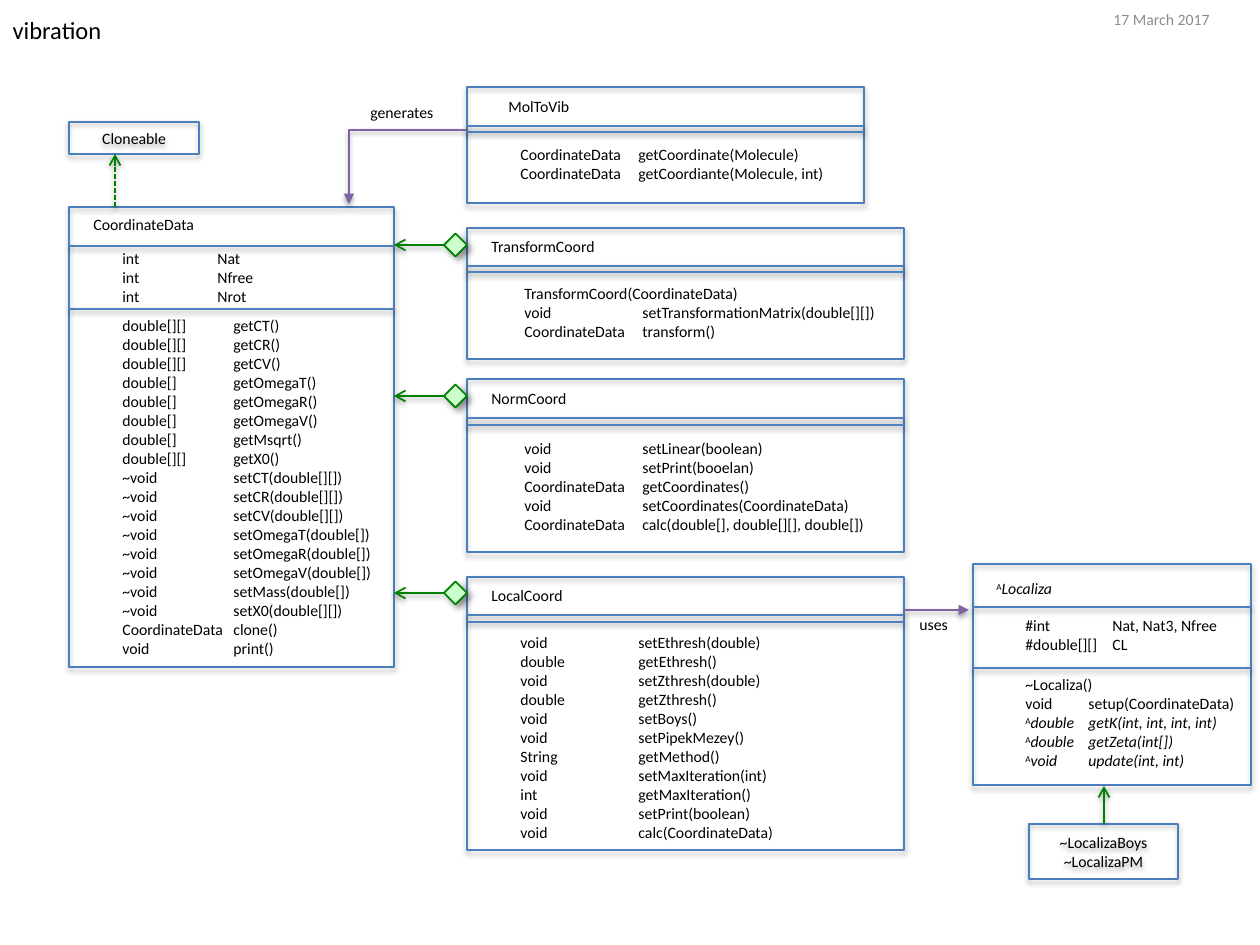
import pptx
import pptx.util
import pptx.dml.color
import pptx.enum.dml
import pptx.enum.shapes
import pptx.enum.text
import pptx.oxml
import pptx.oxml.ns

# Theme
THEME = {
    "font": "Calibri", "title_size": 14, "text_size": 9, "line_width": 1,
    "text": "000000", "date": "8C8C8C", "frame": "4B7EBC", "divider": "4F81BD",
    "green": "008000", "diamond": "CCFFCC", "purple": "8064A2",
}
# Shadows: opacity %, blur pt, distance pt, direction degrees
FRAME_SHADOW, LINE_SHADOW, DIAMOND_SHADOW = (35, 3.1, 1.8, 90), (38, 3.1, 1.6, 90), (43, 4, 3, 45)

# Content, in pixels; a leading "^" marks an abstract member
TITLE = ("vibration", (0, 9, 116, 43))
DATE = ("17 March 2017", (1101, 1, 159, 37))

CLASSES = [
    {"frame": (69, 207, 325, 460), "dividers": (246, 309),
     "name": ("CoordinateData", (81, 209, 127, 32)),
     "members": [
         ((110, 243, 272, 71), 95, ["int\tNat", "int\tNfree", "int\tNrot"]),
         ((110, 310, 284, 357), 111, [
             "double[][]\tgetCT()", "double[][]\tgetCR()", "double[][]\tgetCV()",
             "double[]\tgetOmegaT()", "double[]\tgetOmegaR()", "double[]\tgetOmegaV()",
             "double[]\tgetMsqrt()", "double[][]\tgetX0()",
             "~void\tsetCT(double[][])", "~void\tsetCR(double[][])", "~void\tsetCV(double[][])",
             "~void\tsetOmegaT(double[])", "~void\tsetOmegaR(double[])",
             "~void\tsetOmegaV(double[])", "~void\tsetMass(double[])",
             "~void\tsetX0(double[][])", "CoordinateData\tclone()", "void\tprint()"])]},
    {"frame": (467, 87, 397, 116), "dividers": (126, 132),
     "name": ("MolToVib", (496, 91, 89, 32)),
     "members": [((508, 139, 355, 50), 118, [
         "CoordinateData\tgetCoordinate(Molecule)",
         "CoordinateData\tgetCoordiante(Molecule, int)"])]},
    {"frame": (467, 228, 437, 131), "dividers": (266, 272),
     "name": ("TransformCoord", (479, 231, 131, 32)),
     "members": [((512, 278, 392, 71), 118, [
         "TransformCoord(CoordinateData)", "void\tsetTransformationMatrix(double[][])",
         "CoordinateData\ttransform()"])]},
    {"frame": (467, 379, 437, 173), "dividers": (418, 425),
     "name": ("NormCoord", (479, 383, 102, 32)),
     "members": [((512, 433, 367, 108), 118, [
         "void\tsetLinear(boolean)", "void\tsetPrint(booelan)",
         "CoordinateData\tgetCoordinates()", "void\tsetCoordinates(CoordinateData)",
         "CoordinateData\tcalc(double[], double[][], double[])"])]},
    {"frame": (467, 577, 437, 273), "dividers": (615, 622),
     "name": ("LocalCoord", (479, 580, 98, 32)),
     "members": [((508, 627, 370, 223), 118, [
         "void\tsetEthresh(double)", "double\tgetEthresh()", "void\tsetZthresh(double)",
         "double\tgetZthresh()", "void\tsetBoys()", "void\tsetPipekMezey()",
         "String\tgetMethod()", "void\tsetMaxIteration(int)", "int\tgetMaxIteration()",
         "void\tsetPrint(boolean)", "void\tcalc(CoordinateData)"])]},
    {"frame": (973, 564, 278, 221), "dividers": (607, 668),
     "name": ("^Localiza", (984, 573, 86, 32)),
     "members": [
         ((1013, 610, 237, 50), 87, ["#int\tNat, Nat3, Nfree", "#double[][] \tCL"]),
         ((1013, 669, 237, 108), 63, [
             "~Localiza()", "void\tsetup(CoordinateData)", "^double\tgetK(int, int, int, int)",
             "^double\tgetZeta(int[])", "^void\tupdate(int, int)"])]},
]
SMALL_BOXES = [
    (["Cloneable"], (69, 122, 130, 32)),
    (["~LocalizaBoys", "~LocalizaPM"], (1029, 824, 149, 55)),
]
LABELS = [("generates", (358, 97, 89, 32)), ("uses", (907, 609, 54, 32))]
# Start, end, colour, arrowhead, dashed
ARROWS = [
    ((115, 207), (115, 154), "green", "arrow", True),
    ((1104, 824), (1104, 786), "green", "arrow", False),
    ((904, 610), (969, 610), "purple", "triangle", False),
]
GENERATES_ROUTE = [(466, 130), (349, 130), (349, 204)]
AGGREGATION_ROWS = (245, 396, 593)
DIAMOND_LEFT, DIAMOND_SIZE, DATA_RIGHT = 444, 23, 394

SCALE = 914400 / 126
NAMESPACE = pptx.oxml.ns.nsdecls("a")
SHAPES = pptx.enum.shapes.MSO_SHAPE
ALIGN = pptx.enum.text.PP_ALIGN
ANCHOR = pptx.enum.text.MSO_ANCHOR
FIT = pptx.enum.text.MSO_AUTO_SIZE


def emu(lengths):
    return [round(length * SCALE) for length in lengths]


def color(key):
    return pptx.dml.color.RGBColor.from_string(THEME[key])


def set_values(target, values):
    for name, value in values.items():
        setattr(target, name, value)


def finish(shape, line, shadow, fill=None, head=None, dashed=False):
    """Set fill, outline, arrowhead and shadow."""
    if fill:
        shape.fill.solid()
        shape.fill.fore_color.rgb = color(fill)
    elif hasattr(shape, "fill"):
        shape.fill.background()
    shape.line.color.rgb = color(line)
    shape.line.width = pptx.util.Pt(THEME["line_width"])
    if dashed:
        shape.line.dash_style = pptx.enum.dml.MSO_LINE.SQUARE_DOT
    properties = shape.element.spPr
    if head:
        properties.find(pptx.oxml.ns.qn("a:ln")).append(
            pptx.oxml.parse_xml(f'<a:tailEnd {NAMESPACE} type="{head}"/>'))
    opacity, blur, distance, direction = shadow
    properties.append(pptx.oxml.parse_xml(
        f'<a:effectLst {NAMESPACE}><a:outerShdw blurRad="{round(blur * 12700)}" '
        f'dist="{round(distance * 12700)}" dir="{direction * 60000}" rotWithShape="0">'
        f'<a:srgbClr val="000000"><a:alpha val="{opacity * 1000}"/></a:srgbClr>'
        '</a:outerShdw></a:effectLst>'))


def write(shape, lines, size="text_size", ink="text", tab=None, align=ALIGN.LEFT, **frame_values):
    frame = shape.text_frame
    set_values(frame, frame_values)
    for index, line in enumerate(lines):
        paragraph = frame.paragraphs[0] if index == 0 else frame.add_paragraph()
        paragraph.alignment = align
        if tab:
            paragraph._p.get_or_add_pPr().append(pptx.oxml.parse_xml(
                f'<a:tabLst {NAMESPACE}><a:tab pos="{round(tab * SCALE)}" algn="l"/></a:tabLst>'))
        abstract = line.startswith("^")
        for text in (["A", line[1:]] if abstract else [line]):
            run = paragraph.add_run()
            run.text = text
            set_values(run.font, {"name": THEME["font"], "size": pptx.util.Pt(THEME[size]),
                                  "italic": abstract and text != "A"})
            run.font.color.rgb = color(ink)
        if abstract:
            paragraph.runs[0].font._element.set("baseline", "30000")


def add_line(shapes, start, end, line, **values):
    connector = shapes.add_connector(
        pptx.enum.shapes.MSO_CONNECTOR.STRAIGHT, *emu(start + end))
    finish(connector, line, LINE_SHADOW, **values)


def add_box(shapes, kind, place, line, shadow, fill=None):
    shape = shapes.add_shape(kind, *emu(place))
    finish(shape, line, shadow, fill)
    return shape


presentation = pptx.Presentation()
set_values(presentation, {"slide_width": pptx.util.Inches(10), "slide_height": pptx.util.Inches(7.5)})
slide = presentation.slides.add_slide(presentation.slide_layouts[5])

# Title and date
title = slide.shapes.title
set_values(title, dict(zip(("left", "top", "width", "height"), emu(TITLE[1]))))
write(title, [TITLE[0]], "title_size", word_wrap=False, auto_size=FIT.SHAPE_TO_FIT_TEXT,
      vertical_anchor=ANCHOR.TOP)
write(slide.shapes.add_textbox(*emu(DATE[1])), [DATE[0]], ink="date", word_wrap=True,
      vertical_anchor=ANCHOR.MIDDLE)

# Classes: frame with dividers, name, members
for item in CLASSES:
    left, top, width, height = item["frame"]
    group = slide.shapes.add_group_shape()
    add_box(group.shapes, SHAPES.RECTANGLE, item["frame"], "frame", FRAME_SHADOW)
    for row in item["dividers"]:
        add_line(group.shapes, (left, row), (left + width, row), "divider")
    for place, tab, lines in item["members"]:
        write(slide.shapes.add_textbox(*emu(place)), lines, tab=tab, word_wrap=True,
              auto_size=FIT.SHAPE_TO_FIT_TEXT)

# Class names and arrow labels
for text, place in [item["name"] for item in CLASSES] + LABELS:
    write(slide.shapes.add_textbox(*emu(place)), [text], word_wrap=False,
          auto_size=FIT.SHAPE_TO_FIT_TEXT)

# Small boxes
for lines, place in SMALL_BOXES:
    box = add_box(slide.shapes, SHAPES.RECTANGLE, place, "frame", FRAME_SHADOW)
    write(box, lines, align=ALIGN.CENTER, vertical_anchor=ANCHOR.MIDDLE)

# Arrows
for start, end, line, head, dashed in ARROWS:
    add_line(slide.shapes, start, end, line, head=head, dashed=dashed)
builder = slide.shapes.build_freeform(*GENERATES_ROUTE[0], scale=SCALE)
builder.add_line_segments(GENERATES_ROUTE[1:], close=False)
finish(builder.convert_to_shape(), "purple", LINE_SHADOW, head="triangle")

# Aggregations: diamond and arrow
for row in AGGREGATION_ROWS:
    group = slide.shapes.add_group_shape()
    add_box(group.shapes, SHAPES.DIAMOND,
            (DIAMOND_LEFT, row - DIAMOND_SIZE / 2, DIAMOND_SIZE, DIAMOND_SIZE),
            "green", DIAMOND_SHADOW, "diamond")
    add_line(group.shapes, (DIAMOND_LEFT, row), (DATA_RIGHT, row), "green", head="arrow")

presentation.save("out.pptx")
